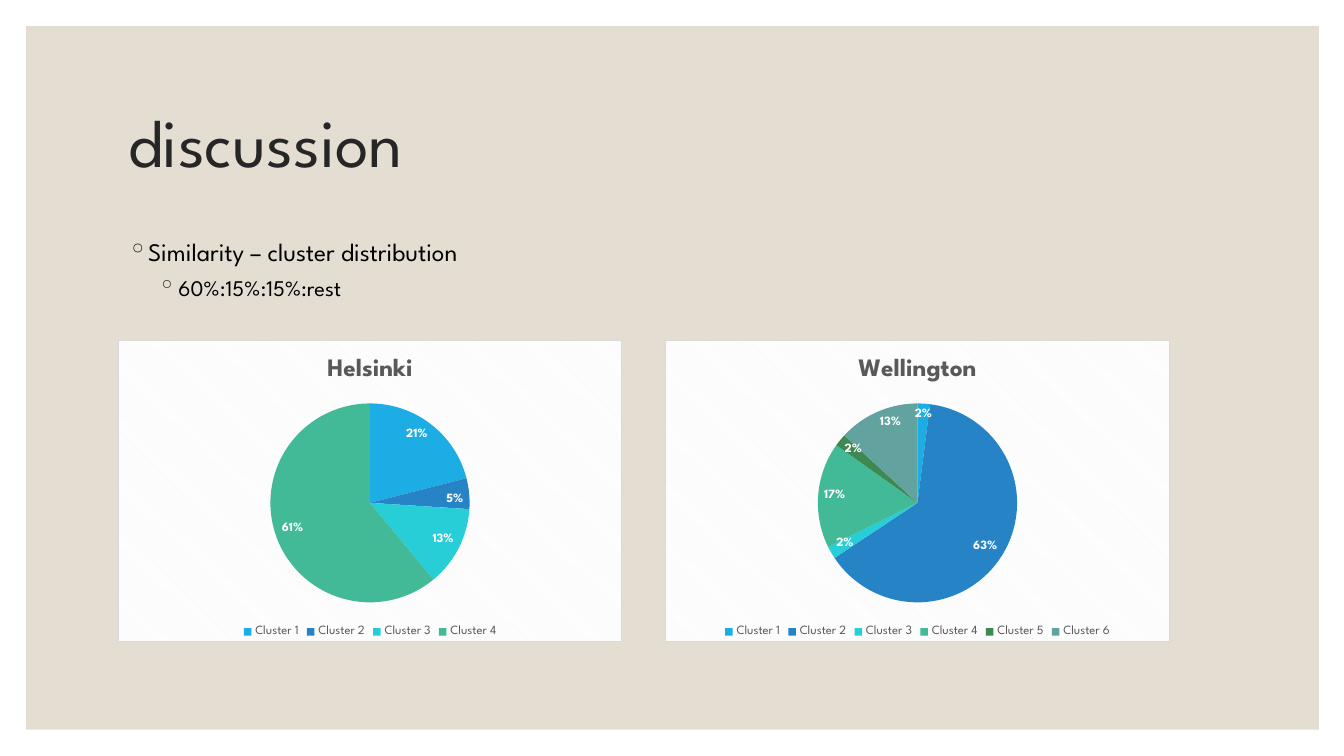
from lxml import etree
from pptx import Presentation
from pptx.chart.data import CategoryChartData
from pptx.dml.color import RGBColor
from pptx.enum.chart import XL_CHART_TYPE as CT, XL_LABEL_POSITION as LP, XL_LEGEND_POSITION as LEG
from pptx.enum.shapes import MSO_SHAPE as SHAPE
from pptx.enum.text import MSO_ANCHOR as ANCHOR, PP_ALIGN as ALIGN
from pptx.oxml import parse_xml
from pptx.oxml.ns import nsdecls, qn
from pptx.util import Inches, Pt

FONT = "League Spartan"
PALETTE = ["1CADE4", "2683C6", "27CED7", "42BA97", "3E8853", "62A39F"]


def rgb(value):
    return RGBColor.from_string(value)


def set_font(font, size, color, bold=False):
    for name, value in {"name": FONT, "size": Pt(size), "bold": bold}.items():
        setattr(font, name, value)
    font.color.rgb = rgb(color)


def place(sp, left, top, width, height):
    box = {"left": left, "top": top, "width": width, "height": height}
    for name, value in box.items():
        setattr(sp, name, Inches(value))


def add_panel(s):
    sp = s.shapes.add_shape(SHAPE.RECTANGLE, Inches(0.26), Inches(0.26),
                            Inches(12.82), Inches(6.98))
    sp.shadow.inherit = False
    sp.fill.solid()
    sp.fill.fore_color.rgb = rgb("E3DED1")
    sp.line.fill.background()
    s.shapes._spTree.insert(2, sp._element)


def add_title(s, text):
    sp = s.shapes.title
    place(sp, 1.17, 0.7, 11, 1.5)
    tf = sp.text_frame
    tf.vertical_anchor = ANCHOR.MIDDLE
    p = tf.paragraphs[0]
    p.alignment = ALIGN.LEFT
    p.line_spacing = 0.9
    r = p.add_run()
    r.text = text
    set_font(r.font, 48, "262626")


def add_bullet(p, text, level, size, before, indent):
    p.level = level
    p.space_before = Pt(before)
    r = p.add_run()
    r.text = text
    set_font(r.font, size, "000000")
    pPr = p._p.get_or_add_pPr()
    pPr.set("marL", str(Inches(indent)))
    pPr.set("indent", str(Inches(-0.2)))
    color = etree.SubElement(pPr, qn("a:buClr"))
    etree.SubElement(color, qn("a:srgbClr")).set("val", "262626")
    etree.SubElement(pPr, qn("a:buChar")).set("char", "◦")


def add_body(s, bullets):
    tf = s.shapes.add_textbox(Inches(1.17), Inches(2.3), Inches(11), Inches(4.3)).text_frame
    tf.word_wrap = True
    for i, bullet in enumerate(bullets):
        p = tf.add_paragraph() if i else tf.paragraphs[0]
        add_bullet(p, *bullet)


def set_chart_area(chart):
    chart._chartSpace.chart.addnext(parse_xml(
        f'<c:spPr {nsdecls("c", "a")}><a:pattFill prst="dkDnDiag">'
        '<a:fgClr><a:srgbClr val="F2F2F2"/></a:fgClr>'
        '<a:bgClr><a:srgbClr val="FFFFFF"/></a:bgClr></a:pattFill>'
        '<a:ln w="9525"><a:solidFill><a:srgbClr val="D9D9D9"/></a:solidFill></a:ln>'
        '</c:spPr>'))


def set_plot_layout(chart, x, y, w, h):
    plot_area = chart._chartSpace.chart.plotArea
    for old in plot_area.findall(qn("c:layout")):
        plot_area.remove(old)
    plot_area.insert(0, parse_xml(
        f'<c:layout {nsdecls("c")}><c:manualLayout><c:layoutTarget val="inner"/>'
        '<c:xMode val="edge"/><c:yMode val="edge"/>'
        f'<c:x val="{x}"/><c:y val="{y}"/><c:w val="{w}"/><c:h val="{h}"/>'
        '</c:manualLayout></c:layout>'))


def add_pie(s, left, city, shares):
    data = CategoryChartData()
    data.categories = [f"Cluster {i}" for i in range(1, len(shares) + 1)]
    data.add_series("Series 1", shares)
    chart = s.shapes.add_chart(CT.PIE, Inches(left), Inches(3.37),
                               Inches(5), Inches(3), data).chart
    set_font(chart.font, 10, "000000")
    set_chart_area(chart)
    set_plot_layout(chart, 0.3, 0.21, 0.4, 0.66)

    chart.has_title = True
    r = chart.chart_title.text_frame.paragraphs[0].add_run()
    r.text = city
    set_font(r.font, 18, "595959", True)

    chart.has_legend = True
    chart.legend.position = LEG.BOTTOM
    chart.legend.include_in_layout = False
    set_font(chart.legend.font, 9, "595959")

    plot = chart.plots[0]
    plot.vary_by_categories = True
    for i, color in enumerate(PALETTE[:len(shares)]):
        fill = plot.series[0].points[i].format.fill
        fill.solid()
        fill.fore_color.rgb = rgb(color)

    plot.has_data_labels = True
    labels = plot.data_labels
    formats = {"show_value": True, "show_percentage": False, "number_format": '0"%"',
               "number_format_is_linked": False, "position": LP.INSIDE_END}
    for name, value in formats.items():
        setattr(labels, name, value)
    set_font(labels.font, 9, "FFFFFF", True)


def main():
    prs = Presentation()
    prs.slide_width, prs.slide_height = Inches(13.33), Inches(7.5)
    s = prs.slides.add_slide(prs.slide_layouts[5])
    add_panel(s)
    add_title(s, "discussion")
    add_body(s, [("Similarity – cluster distribution", 0, 18, 9, 0.2),
                 ("60%:15%:15%:rest", 1, 16, 5, 0.5)])
    add_pie(s, 1.17, "Helsinki", [21, 5, 13, 61])
    add_pie(s, 6.6, "Wellington", [2, 63, 2, 17, 2, 13])
    prs.save("out.pptx")


if __name__ == "__main__":
    main()
